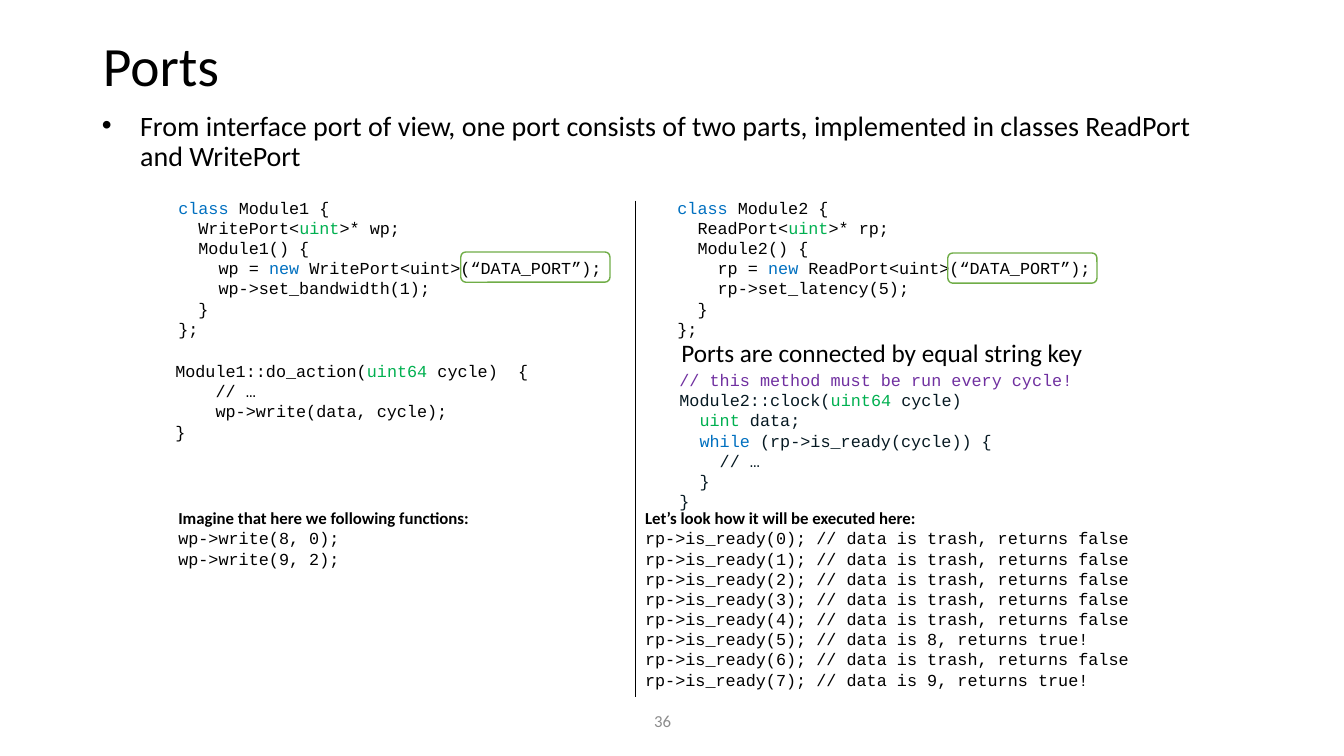
"""Builds the Ports slide: two code columns joined by an equal string key."""
from dataclasses import dataclass

from lxml.etree import SubElement
from pptx import Presentation
from pptx.dml.color import RGBColor
from pptx.enum.shapes import MSO_CONNECTOR as Connector, MSO_SHAPE as Shape
from pptx.enum.text import MSO_ANCHOR as Anchor, MSO_AUTO_SIZE as AutoSize, PP_ALIGN as Align
from pptx.oxml.ns import qn
from pptx.util import Pt

EMU_PER_PX = 9144
BLACK, GREY, NAVY, GREEN = "000000", "8C8C8C", "061922", "70AD47"
BLUE, TYPE_GREEN, PURPLE = "0070C0", "00B050", "7030A0"
MARKED = {"class": BLUE, "new": BLUE, "while": BLUE, "uint": TYPE_GREEN, "uint64": TYPE_GREEN}
SANS, MONO = "Calibri", "Courier New"


@dataclass(frozen=True)
class Box:
    left: int
    top: int
    width: int
    height: int


@dataclass(frozen=True)
class TextBlock:
    box: Box
    code: str = ""
    heading: str = ""
    size: int = 12
    bold: bool = False
    color: str = BLACK
    anchor: Anchor = Anchor.TOP


def module_code(name: str, port: str, variable: str, setting: str) -> str:
    return f"""`class` {name} {{
  {port}<`uint`>* {variable};
  {name}() {{
    {variable} = `new` {port}<uint>(“DATA_PORT”);
    {variable}->{setting};
  }}
}};"""


ACTION_CODE = """Module1::do_action(`uint64` cycle)  {
    // …
    wp->write(data, cycle);
}"""
CLOCK_CODE = """`// this method must be run every cycle!`
Module2::clock(`uint64` cycle)
  `uint` data;
  `while` (rp->is_ready(cycle)) {
    // …
  }
}"""
ARRIVALS = {5: 8, 7: 9}
READ_CALLS = "\n".join(
    f"rp->is_ready({cycle}); // data is "
    + (f"{ARRIVALS[cycle]}, returns true!" if cycle in ARRIVALS else "trash, returns false")
    for cycle in range(8))

BLOCKS = [
    TextBlock(Box(639, 695, 79, 40), heading="36", color=GREY, anchor=Anchor.MIDDLE),
    TextBlock(Box(167, 191, 513, 151), module_code("Module1", "WritePort", "wp", "set_bandwidth(1)")),
    TextBlock(Box(662, 191, 504, 151), module_code("Module2", "ReadPort", "rp", "set_latency(5)")),
    TextBlock(Box(666, 330, 426, 40), heading="Ports are connected by equal string key", size=18),
    TextBlock(Box(164, 353, 513, 91), ACTION_CODE),
    TextBlock(Box(664, 362, 441, 151), CLOCK_CODE, color=NAVY),
    TextBlock(Box(167, 499, 513, 71), "wp->write(8, 0);\nwp->write(9, 2);",
              "Imagine that here we following functions:", bold=True),
    TextBlock(Box(630, 499, 537, 212), READ_CALLS,
              "Let’s look how it will be executed here:", bold=True),
]
KEY_FRAMES = [Box(457, 250, 148, 30), Box(940, 251, 148, 30)]


def px(length: int) -> int:
    return length * EMU_PER_PX


def rgb(color: str) -> RGBColor:
    return RGBColor.from_string(color)


def place(shape, box: Box) -> None:
    shape.left, shape.top = px(box.left), px(box.top)
    shape.width, shape.height = px(box.width), px(box.height)


def set_font(paragraph, name: str, size: float, color: str, bold: bool = False) -> None:
    font = paragraph.font
    font.name, font.size, font.bold = name, Pt(size), bold
    font.color.rgb = rgb(color)


def fill_placeholder(shape, box: Box, text: str, size: float, anchor: Anchor):
    place(shape, box)
    frame = shape.text_frame
    frame.text = text
    frame.word_wrap, frame.auto_size = True, AutoSize.NONE
    frame.vertical_anchor = anchor
    paragraph = frame.paragraphs[0]
    paragraph.alignment, paragraph.line_spacing = Align.LEFT, 0.9
    paragraph.space_before = Pt(0)
    return paragraph


def add_bullet(paragraph, indent: int) -> None:
    properties = paragraph._p.get_or_add_pPr()
    properties.set("marL", str(px(indent)))
    properties.set("indent", str(-px(indent)))
    SubElement(properties, qn("a:buFont"), typeface="Arial")
    SubElement(properties, qn("a:buChar"), char="•")


def add_code_line(paragraph, line: str, block: TextBlock) -> None:
    set_font(paragraph, MONO, block.size, block.color)
    for index, piece in enumerate(line.split("`")):
        if piece:
            run = paragraph.add_run()
            run.text = piece
            if index % 2:
                run.font.color.rgb = rgb(MARKED.get(piece, PURPLE))


def add_text_block(slide, block: TextBlock) -> None:
    box = block.box
    frame = slide.shapes.add_textbox(px(box.left), px(box.top), px(box.width), px(box.height)).text_frame
    frame.word_wrap, frame.vertical_anchor = True, block.anchor
    paragraph = frame.paragraphs[0]
    if block.heading:
        paragraph.text = block.heading
        set_font(paragraph, SANS, block.size, block.color, block.bold)
    for index, line in enumerate(block.code.splitlines()):
        if index or block.heading:
            paragraph = frame.add_paragraph()
        add_code_line(paragraph, line, block)


def add_key_frame(slide, box: Box) -> None:
    shape = slide.shapes.add_shape(Shape.ROUNDED_RECTANGLE, 0, 0, 0, 0)
    place(shape, box)
    shape.shadow.inherit = False
    shape.fill.background()
    shape.line.color.rgb, shape.line.width = rgb(GREEN), Pt(1)


def add_divider(slide, x: int, top: int, bottom: int) -> None:
    line = slide.shapes.add_connector(Connector.STRAIGHT, px(x), px(top), px(x), px(bottom))
    line.line.color.rgb, line.line.width = rgb(BLACK), Pt(1)
    SubElement(line._element.spPr, qn("a:effectLst"))


def main() -> None:
    presentation = Presentation()
    presentation.slide_width, presentation.slide_height = px(1333), px(750)
    slide = presentation.slides.add_slide(presentation.slide_layouts[1])
    title, body = slide.placeholders
    paragraph = fill_placeholder(title, Box(92, 40, 1150, 56), "Ports", 39.6, Anchor.MIDDLE)
    set_font(paragraph, SANS, 39.6, BLACK)
    paragraph = fill_placeholder(
        body, Box(91, 106, 1119, 464),
        "From interface port of view, one port consists of two parts, "
        "implemented in classes ReadPort and WritePort", 20, Anchor.TOP)
    add_bullet(paragraph, 38)
    set_font(paragraph, SANS, 20, BLACK)
    for block in BLOCKS:
        add_text_block(slide, block)
    for box in KEY_FRAMES:
        add_key_frame(slide, box)
    add_divider(slide, 630, 199, 691)
    presentation.save("out.pptx")


if __name__ == "__main__":
    main()
